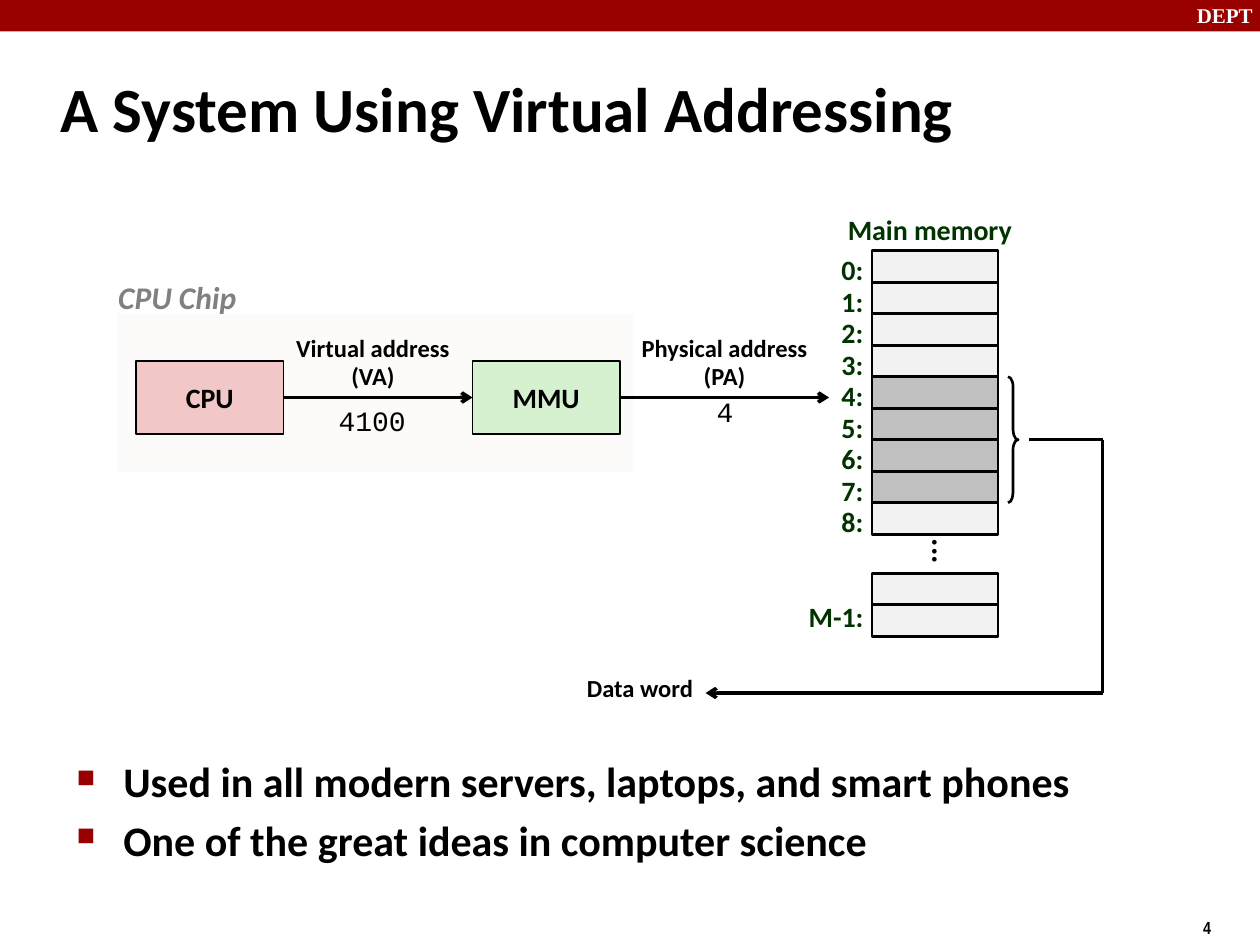
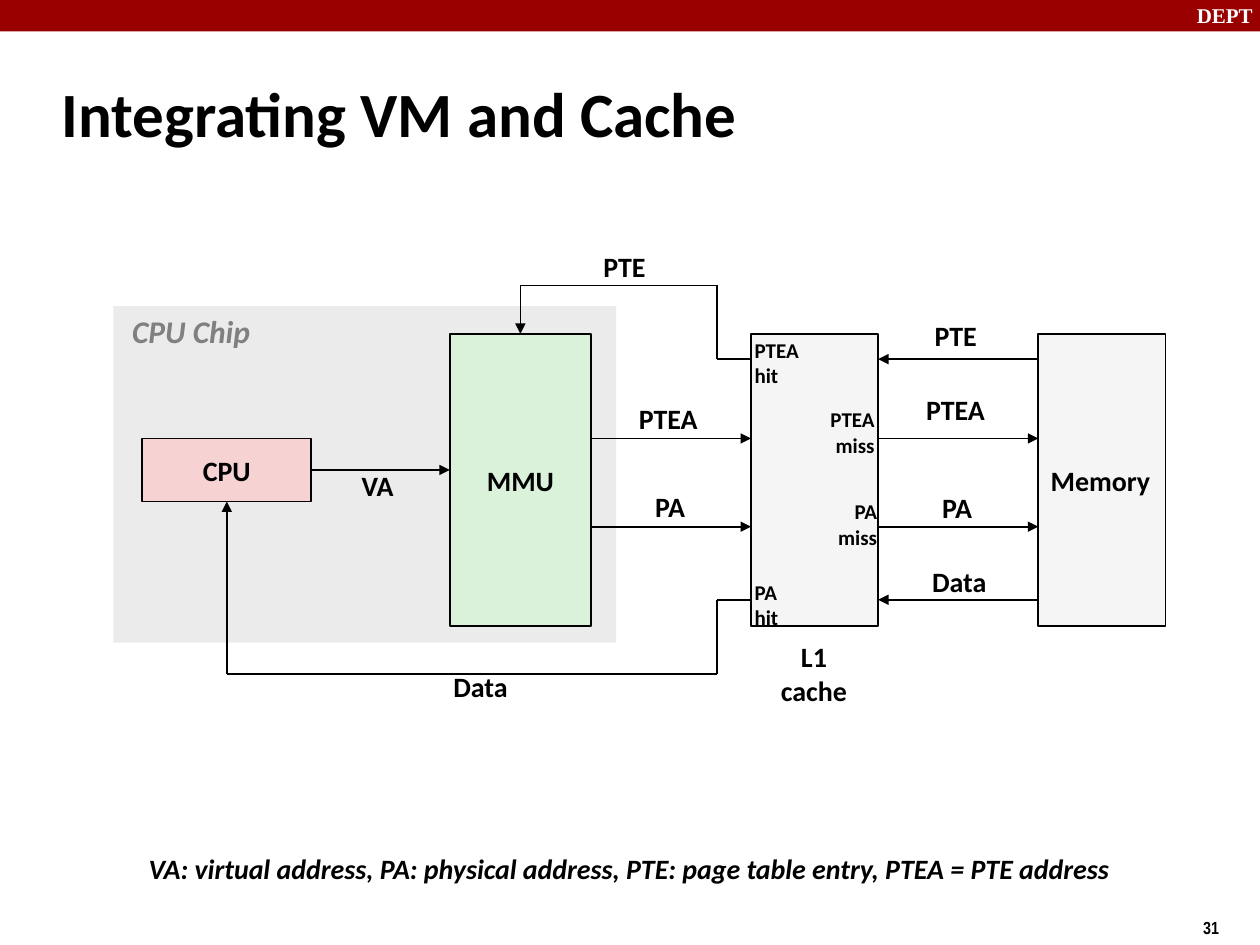
from lxml import etree
from pptx import Presentation
from pptx.dml.color import RGBColor
from pptx.enum.shapes import MSO_CONNECTOR, MSO_SHAPE
from pptx.enum.text import MSO_ANCHOR, MSO_AUTO_SIZE, PP_ALIGN
from pptx.oxml.ns import qn
from pptx.util import Inches, Pt

RECT, BRACE = MSO_SHAPE.RECTANGLE, MSO_SHAPE.RIGHT_BRACE
STRAIGHT = MSO_CONNECTOR.STRAIGHT
LEFT, CENTER, RIGHT = PP_ALIGN.LEFT, PP_ALIGN.CENTER, PP_ALIGN.RIGHT
TOP, MIDDLE = MSO_ANCHOR.TOP, MSO_ANCHOR.MIDDLE
NO_AUTOFIT = MSO_AUTO_SIZE.NONE
SITE_TOP, SITE_LEFT, SITE_BOTTOM, SITE_RIGHT = range(4)

BLACK = RGBColor(0x00, 0x00, 0x00)
WHITE = RGBColor(0xFF, 0xFF, 0xFF)
CRIMSON = RGBColor(0x99, 0x00, 0x00)
DARK_GREEN = RGBColor(0x00, 0x33, 0x00)
GRAY = RGBColor(0x80, 0x80, 0x80)
CHIP_CREAM = RGBColor(0xFC, 0xFB, 0xF9)
CHIP_GRAY = RGBColor(0xEB, 0xEB, 0xEB)
CPU_ROSE = RGBColor(0xF1, 0xC7, 0xC7)
CPU_PINK = RGBColor(0xF6, 0xD2, 0xD2)
MMU_GREEN = RGBColor(0xD5, 0xF1, 0xCF)
MMU_MINT = RGBColor(0xDB, 0xF2, 0xDA)
CELL_LIGHT = RGBColor(0xF2, 0xF2, 0xF2)
CELL_WORD = RGBColor(0xC0, 0xC0, 0xC0)
STORE_GRAY = RGBColor(0xF5, 0xF5, 0xF5)

SLIDE_WIDTH, SLIDE_HEIGHT = Inches(10), Inches(7.5)
COLUMNS = 40
UNIT = SLIDE_WIDTH / COLUMNS

ADDRESS = dict(color=DARK_GREEN, spacing=0.88, before=6)
TIGHT = dict(spacing=0.85, inset=(0.07, 0.03))
CHIP = dict(size=18, color=GRAY, italic=True)


def grid(*cells):
    return [round(cell * UNIT) for cell in cells]


def write(frame, lines, size=16, color=BLACK, font="Calibri", bold=True, italic=False,
          align=LEFT, anchor=TOP, spacing=None, before=None, inset=(0.1, 0.05), wrap=False):
    frame.word_wrap = wrap
    frame.auto_size = NO_AUTOFIT
    frame.vertical_anchor = anchor
    frame.margin_left = frame.margin_right = Inches(inset[0])
    frame.margin_top = frame.margin_bottom = Inches(inset[1])
    frame.text = lines
    for paragraph in frame.paragraphs:
        paragraph.alignment = align
        if spacing:
            paragraph.line_spacing = spacing
        if before:
            paragraph.space_before = Pt(before)
        paragraph.font.name = font
        paragraph.font.size = Pt(size)
        paragraph.font.bold = bold
        paragraph.font.italic = italic
        paragraph.font.color.rgb = color


def label(slide, lines, place, **style):
    box = slide.shapes.add_textbox(*grid(*place))
    write(box.text_frame, lines, **style)
    return box


def block(slide, place, fill=None, line=None, lines=None, kind=RECT, align=CENTER):
    shape = slide.shapes.add_shape(kind, *grid(*place))
    shape.shadow.inherit = False
    if fill is None:
        shape.fill.background()
    else:
        shape.fill.solid()
        shape.fill.fore_color.rgb = fill
    if line is None:
        shape.line.fill.background()
    else:
        shape.line.color.rgb = BLACK
        shape.line.width = Pt(line)
    if lines:
        write(shape.text_frame, lines, align=align, anchor=MIDDLE)
    return shape


def route(slide, points, width=1, arrow=None, start=None, end=None):
    legs = []
    for here, there in zip(points, points[1:]):
        leg = slide.shapes.add_connector(STRAIGHT, *grid(*here, *there))
        leg.line.color.rgb = BLACK
        leg.line.width = Pt(width)
        etree.SubElement(leg._element.spPr, qn("a:effectLst"))
        legs.append(leg)
    if start:
        legs[0].begin_connect(*start)
    if end:
        legs[-1].end_connect(*end)
    if arrow:
        etree.SubElement(legs[-1].line._get_or_add_ln(), qn("a:tailEnd"), type=arrow)


def bullets(slide, lines, place):
    frame = label(slide, lines, place, size=24, before=4.8, wrap=True).text_frame
    for paragraph in frame.paragraphs:
        properties = paragraph._p.get_or_add_pPr()
        properties.set("marL", str(Inches(0.38)))
        properties.set("indent", str(Inches(-0.37)))
        color = etree.Element(qn("a:buClr"))
        etree.SubElement(color, qn("a:srgbClr"), val=str(CRIMSON))
        size = etree.Element(qn("a:buSzPct"), val="60000")
        mark = etree.Element(qn("a:buChar"), char="■")
        font_defaults = properties.find(qn("a:defRPr"))
        for part in (color, size, mark):
            font_defaults.addprevious(part)


def start_slide(deck, title, place, number):
    slide = deck.slides.add_slide(deck.slide_layouts[5])
    heading = slide.shapes.title
    heading.left, heading.top, heading.width, heading.height = grid(*place)
    write(heading.text_frame, title, size=36, anchor=MIDDLE, wrap=True)
    block(slide, (0, 0, COLUMNS, 1), CRIMSON)
    label(slide, "DEPT", (37.6, -0.12, 2.68, 1.2), size=12, color=WHITE,
          font="Times New Roman", wrap=True)
    label(slide, number, (37.8, 28.92, 3, 1.16), size=10, font="Arial Narrow")
    return slide


def draw_main_memory(slide):
    left, top, width, last_top = 27.68, 7.96, 4, 19.2
    label(slide, "Main memory", (26.52, 6.68, 6, 1.44), align=CENTER, **ADDRESS)
    for address in range(9):
        fill = CELL_WORD if 4 <= address <= 7 else CELL_LIGHT
        block(slide, (left, top + address, width, 1), fill, 1.5)
        label(slide, f"{address}:", (26.32, top + address, 1.48, 1.44), **ADDRESS)
    for cell_top in (last_top - 1, last_top):
        block(slide, (left, cell_top, width, 1), CELL_LIGHT, 1.5)
    label(slide, "M-1:", (25.28, 18.96, 2.52, 1.44), **ADDRESS)
    gap = label(slide, "...", (28, 17, 4, 1), size=18, align=CENTER, anchor=MIDDLE)
    gap.rotation = 90
    block(slide, (32, top + 4, 0.32, 4), line=1.5, kind=BRACE).adjustments[0] = 1


def draw_virtual_addressing(deck):
    slide = start_slide(deck, "A System Using Virtual Addressing",
                        (1.52, 1.68, 38.12, 3.44), "4")
    block(slide, (3.72, 9.96, 16.4, 5.04), CHIP_CREAM)
    label(slide, "CPU Chip", (3.36, 8.64, 4.56, 1.6), **CHIP)
    bullets(slide, "Used in all modern servers, laptops, and smart phones\n"
                   "One of the great ideas in computer science", (2, 23.8, 36.32, 5.52))
    cpu = block(slide, (4.32, 11.46, 4.68, 2.32), CPU_ROSE, 1, "CPU")
    mmu = block(slide, (15, 11.46, 4.68, 2.32), MMU_GREEN, 1, "MMU")
    draw_main_memory(slide)

    bus = 12.62
    route(slide, [(9, bus), (15, bus)], 2, "arrow", (cpu, SITE_RIGHT), (mmu, SITE_LEFT))
    route(slide, [(19.68, bus), (26.32, bus)], 2, "arrow", (mmu, SITE_RIGHT))
    route(slide, [(32.68, 13.96), (35, 13.96), (35, 22), (22.4, 22)], 2, "arrow")

    for caption, place in (
        ("Virtual address\n(VA)", (9, 10.4, 5.68, 2.24)),
        ("Physical address\n(PA)", (19.96, 10.4, 6.08, 2.24)),
        ("Data word", (18.24, 21.2, 4.16, 1.32)),
    ):
        label(slide, caption, place, size=14, align=CENTER, anchor=MIDDLE, spacing=0.98)
    for value, place in (
        ("4100", (10.36, 12.6, 2.92, 1.44)),
        ("4", (22.36, 12.32, 1.32, 1.44)),
    ):
        label(slide, value, place, font="Courier New", bold=False)


def draw_vm_and_cache(deck):
    slide = start_slide(deck, "Integrating VM and Cache", (1.56, 1.92, 33.2, 3.32), "31")
    block(slide, (3.6, 9.72, 15.96, 10.68), CHIP_GRAY)
    label(slide, "CPU Chip", (3.8, 9.72, 4.56, 1.6), **CHIP)
    top, height = 10.6, 9.28
    cpu = block(slide, (4.52, 13.92, 5.36, 2), CPU_PINK, 1, "CPU")
    mmu = block(slide, (14.28, top, 4.48, height), MMU_MINT, 1, "MMU")
    block(slide, (23.84, top, 4.04, height), STORE_GRAY, 1)
    block(slide, (32.96, top, 4.04, height), STORE_GRAY, 1, "Memory", align=LEFT)

    mmu_right, cache_left, cache_right, memory_left = 18.76, 23.84, 27.88, 32.96
    lane, pte_row, ptea_row, pa_row, data_row = 22.76, 11.4, 13.92, 16.72, 19.04
    route(slide, [(9.88, 14.92), (14.28, 14.92)], arrow="triangle", start=(cpu, SITE_RIGHT))
    for row in (ptea_row, pa_row):
        route(slide, [(mmu_right, row), (cache_left, row)], arrow="triangle")
        route(slide, [(cache_right, row), (memory_left, row)], arrow="triangle")
    for row in (pte_row, data_row):
        route(slide, [(memory_left, row), (cache_right, row)], arrow="triangle")
    route(slide, [(cache_left, pte_row), (lane, pte_row), (lane, 9.06), (16.52, 9.06),
                  (16.52, top)], arrow="triangle", end=(mmu, SITE_TOP))
    route(slide, [(cache_left, data_row), (lane, data_row), (lane, 21.4), (7.2, 21.4),
                  (7.2, 15.92)], arrow="triangle", end=(cpu, SITE_BOTTOM))

    for signal, place in (
        ("VA", (11.2, 14.92, 1.56, 1.28)),
        ("PTEA", (20, 12.8, 2.44, 1.28)),
        ("PA", (20.52, 15.6, 1.52, 1.28)),
        ("PTEA", (29.12, 12.52, 2.44, 1.28)),
    ):
        label(slide, signal, place, **TIGHT)
    for signal, place in (
        ("PTE", (18.76, 7.72, 2.12, 1.44)),
        ("PTE", (29.28, 9.92, 2.12, 1.44)),
        ("PA", (29.52, 15.4, 1.76, 1.44)),
        ("Data", (29.2, 17.72, 2.52, 1.44)),
        ("Data", (14, 21.08, 2.52, 1.44)),
    ):
        label(slide, signal, place, anchor=MIDDLE)
    for outcome, place, align in (
        ("PTEA\nhit", (23.56, 10.52, 2.36, 2), LEFT),
        ("PTEA\nmiss", (25.96, 12.72, 2.2, 2), RIGHT),
        ("PA\nmiss", (26.2, 15.64, 2.04, 2), RIGHT),
        ("PA\nhit", (23.56, 18.2, 1.64, 2), LEFT),
    ):
        label(slide, outcome, place, size=12, align=align, anchor=MIDDLE)
    label(slide, "L1\ncache", (24.4, 20.12, 2.88, 2.52), align=CENTER, anchor=MIDDLE)
    label(slide, "VA: virtual address, PA: physical address, PTE: page table entry, "
                 "PTEA = PTE address", (4.44, 27.08, 31.04, 1.28), italic=True, **TIGHT)


def main():
    deck = Presentation()
    deck.slide_width, deck.slide_height = SLIDE_WIDTH, SLIDE_HEIGHT
    draw_virtual_addressing(deck)
    draw_vm_and_cache(deck)
    deck.save("out.pptx")


if __name__ == "__main__":
    main()
